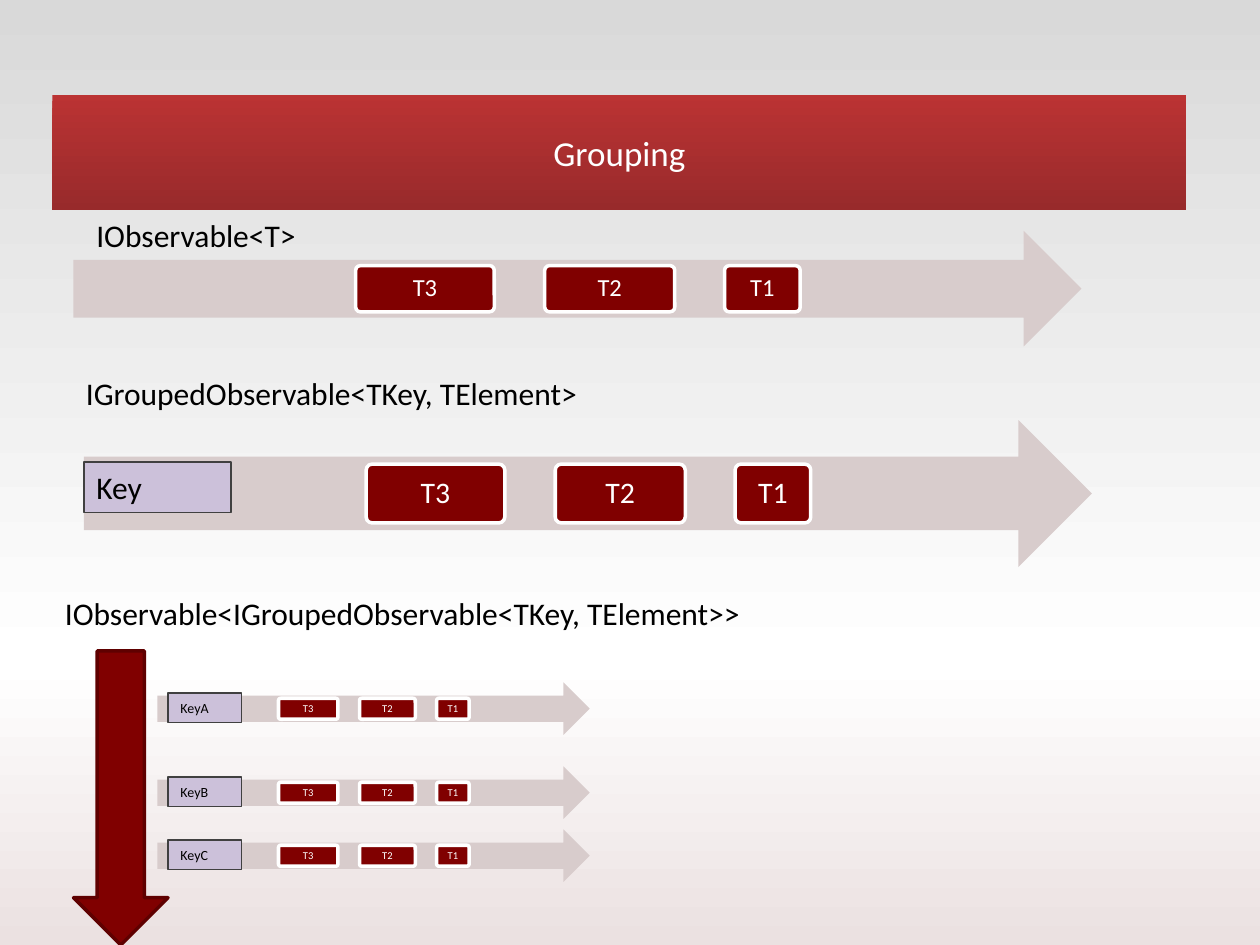
import copy

import pptx
import pptx.dml.color
import pptx.enum.shapes
import pptx.enum.text
import pptx.oxml.ns
import pptx.util

Pt = pptx.util.Pt
Shape = pptx.enum.shapes.MSO_SHAPE
Align = pptx.enum.text.PP_ALIGN
Anchor = pptx.enum.text.MSO_ANCHOR
FONT = "Calibri"
TOKENS = [("T3", 0.28, 0.1375), ("T2", 0.4675, 0.129), ("T1", 0.646, 0.075)]


def color(value):
    """Turn a hex string into a colour."""
    return pptx.dml.color.RGBColor.from_string(value)


def paint_gradient(fill, element, stops):
    """Fill from top to bottom with (percent, colour) stops."""
    fill.gradient()
    fill.gradient_angle = 270
    stop_list = element.find(".//" + pptx.oxml.ns.qn("a:gsLst"))
    while len(stop_list) < len(stops):
        stop_list.append(copy.deepcopy(stop_list[0]))
    for stop, (percent, value) in zip(fill.gradient_stops, stops):
        stop.position = percent / 100
        stop.color.rgb = color(value)


def add_box(shapes, kind, box, fill, line=None, line_width=2):
    """Add a flat preset shape."""
    shape = shapes.add_shape(kind, *map(Pt, box))
    shape.shadow.inherit = False
    shape.fill.solid()
    shape.fill.fore_color.rgb = color(fill)
    if line:
        shape.line.color.rgb = color(line)
        shape.line.width = Pt(line_width)
    else:
        shape.line.fill.background()
    return shape


def write(shape, text, size, value, align=Align.LEFT, anchor=Anchor.TOP):
    """Put one formatted paragraph in a shape and return it."""
    frame = shape.text_frame
    frame.word_wrap = True
    frame.vertical_anchor = anchor
    para = frame.paragraphs[0]
    para.text = text
    para.alignment = align
    para.font.name = FONT
    para.font.size = Pt(size)
    para.font.color.rgb = color(value)
    return para


def add_title(page, box, text):
    """Place the title banner."""
    title = page.shapes.title
    title.left, title.top, title.width, title.height = map(Pt, box)
    paint_gradient(title.fill, title.element, [(0, "BB3333"), (100, "982A2B")])
    write(title, text, 20, "FFFFFF", Align.CENTER, Anchor.MIDDLE)


def add_label(page, box, text):
    """Place the type name above a stream."""
    label = page.shapes.add_textbox(*map(Pt, box))
    write(label, text, 18, "000000")


def add_stream(page, box, size):
    """Place an arrow carrying the three tokens."""
    left, top, width, height = box
    shapes = page.shapes.add_group_shape().shapes
    add_box(shapes, Shape.RIGHT_ARROW, box, "D8CCCC")
    for text, offset, share in TOKENS:
        token_box = (left + offset * width, top + 0.3 * height, share * width, 0.4 * height)
        token = add_box(shapes, Shape.ROUNDED_RECTANGLE, token_box, "800000", "FFFFFF")
        token.adjustments[0] = 0.1
        frame = token.text_frame
        frame.margin_left = frame.margin_right = frame.margin_top = frame.margin_bottom = 0
        para = write(token, text, size, "FFFFFF", Align.CENTER, Anchor.MIDDLE)
        para.line_spacing = 0.9


def add_key(page, box, text, size):
    """Place the key tag at the tail of a stream."""
    key = add_box(page.shapes, Shape.RECTANGLE, box, "CCC1DA", "404040", 0.75)
    write(key, text, size, "000000")


def add_grouped_streams(page, box):
    """Place the downward arrow with its keyed streams."""
    left, top, _, height = box
    add_box(page.shapes, Shape.DOWN_ARROW, (left, top, 54, height), "800000", "5F0000")
    for text, offset in [("KeyA", 18), ("KeyB", 66), ("KeyC", 102)]:
        add_stream(page, (left + 48, top + offset, 247, 30), 6)
        add_key(page, (left + 54, top + offset + 6, 42, 17), text, 8)


def main():
    """Build the grouping slide."""
    deck = pptx.Presentation()
    deck.slide_width, deck.slide_height = Pt(720), Pt(540)
    page = deck.slides.add_slide(deck.slide_layouts[5])
    paint_gradient(page.background.fill, page.element,
                   [(0, "D9D9D9"), (70, "FFFFFF"), (100, "EBE1E1")])
    add_title(page, (30, 54, 648, 66), "Grouping")
    add_stream(page, (42, 132, 576, 66), 14)
    add_label(page, (48, 120, 180, 30), "IObservable<T>")
    add_stream(page, (48, 240, 576, 84), 17)
    add_label(page, (42, 210, 384, 29), "IGroupedObservable<TKey, TElement>")
    add_key(page, (48, 264, 84, 29), "Key", 18)
    add_label(page, (30, 336, 480, 51), "IObservable<IGroupedObservable<TKey, TElement>>")
    add_grouped_streams(page, (42, 372, 295, 168))
    deck.save("out.pptx")


if __name__ == "__main__":
    main()
